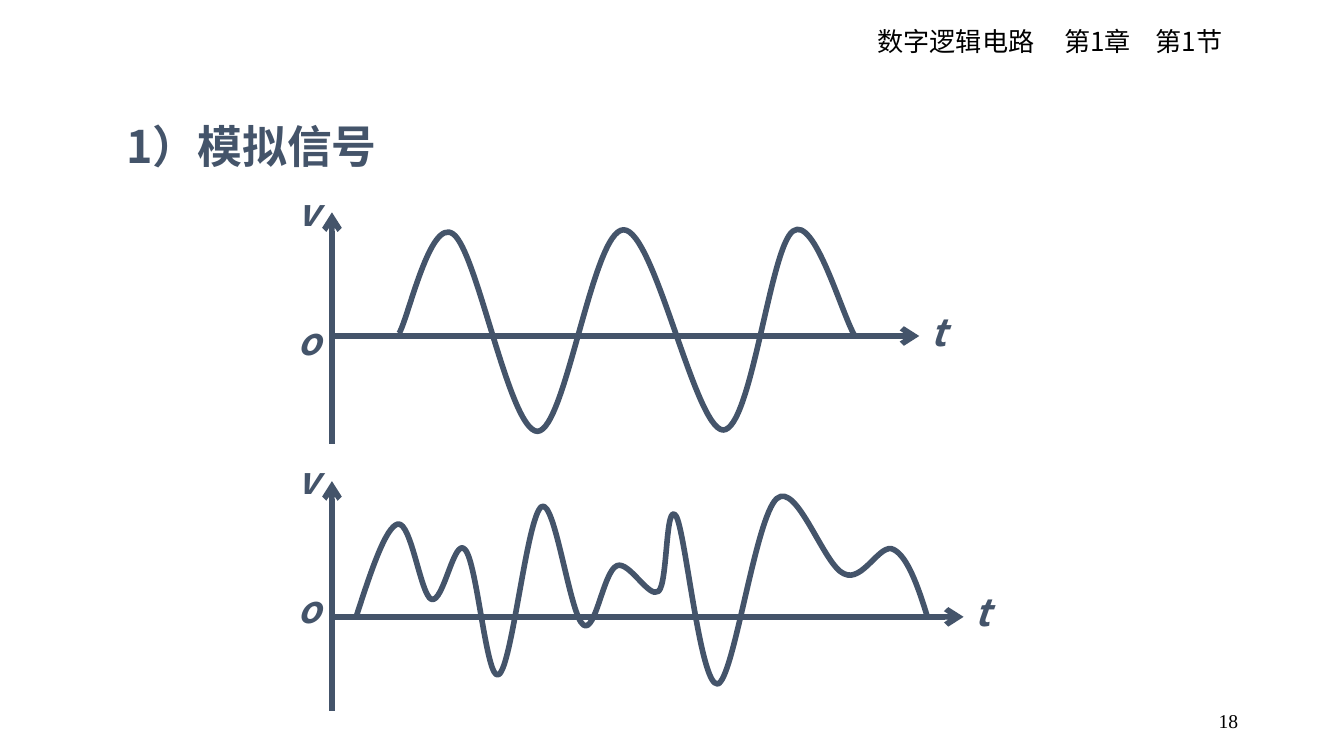
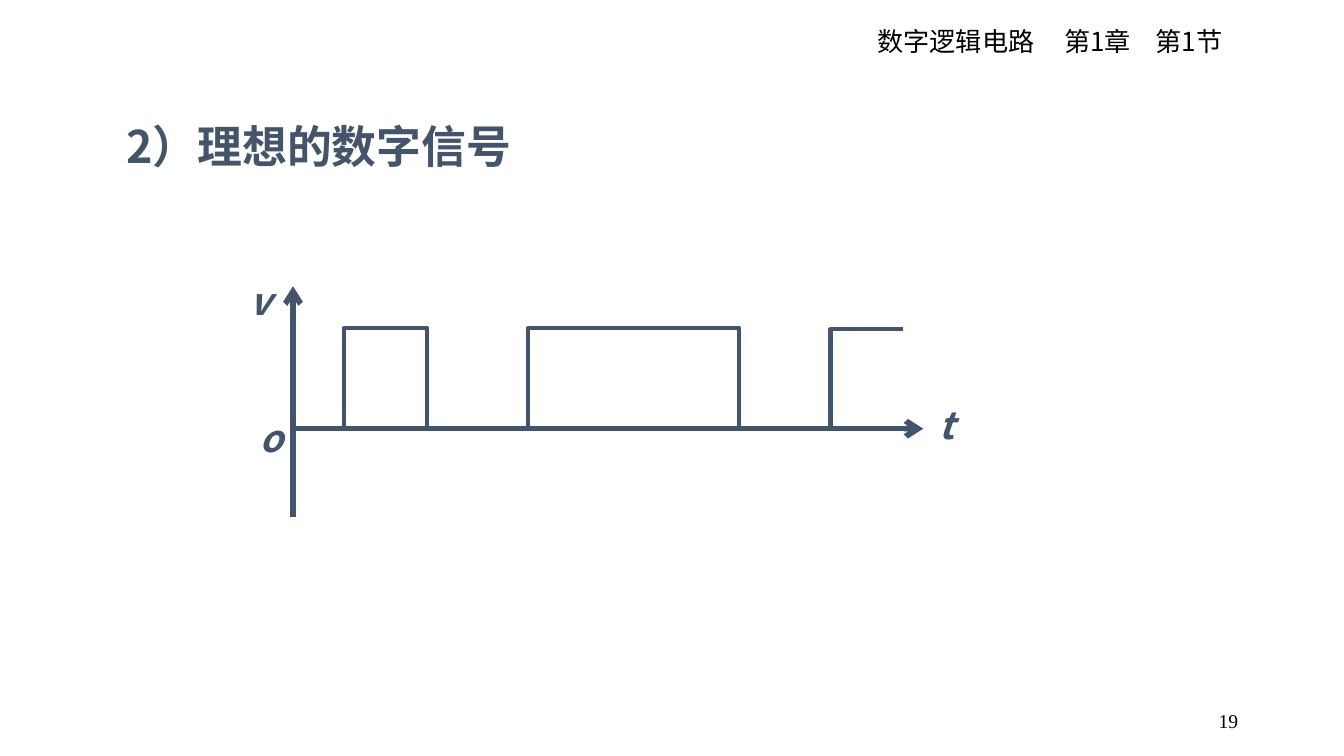
from pptx import Presentation
from pptx.dml.color import RGBColor
from pptx.enum.shapes import MSO_CONNECTOR as Connector
from pptx.enum.text import MSO_ANCHOR as Anchor, MSO_AUTO_SIZE as AutoSize, PP_ALIGN as Align
from pptx.oxml.ns import qn
from pptx.util import Inches, Pt
from lxml.etree import SubElement

SLATE = RGBColor(0x44, 0x54, 0x6A)
BLACK = RGBColor(0, 0, 0)
SANS = "Noto Sans CJK JP"
SERIF = "Times New Roman"

HEADER = "数字逻辑电路\t第1章\t第1节"
HEADER_TABS = (1.39, 2.07)
INSETS = (0.08, 0.04)
HANGING = 0.38
LABEL_SIZE = (0.39, 0.48)

# Curves list a start point, then two control points and an end point per segment.
SINE = [
    (2.97, 2.48),
    (3.04, 2.36), (3.2, 1.62), (3.37, 1.74),
    (3.55, 1.86), (3.79, 3.21), (4, 3.21),
    (4.21, 3.2), (4.41, 1.71), (4.64, 1.71),
    (4.87, 1.71), (5.17, 3.19), (5.38, 3.2),
    (5.59, 3.2), (5.73, 1.84), (5.9, 1.72),
    (6.06, 1.6), (6.26, 2.33), (6.36, 2.5),
]
IRREGULAR = [
    (2.65, 4.59),
    (2.76, 4.25), (2.87, 3.92), (2.96, 3.9),
    (3.06, 3.88), (3.13, 4.43), (3.21, 4.46),
    (3.3, 4.49), (3.38, 3.99), (3.46, 4.09),
    (3.55, 4.18), (3.62, 5.08), (3.71, 5.02),
    (3.81, 4.97), (3.92, 3.84), (4.03, 3.77),
    (4.13, 3.71), (4.24, 4.58), (4.34, 4.65),
    (4.43, 4.72), (4.49, 4.25), (4.59, 4.21),
    (4.68, 4.17), (4.83, 4.46), (4.9, 4.4),
    (4.97, 4.34), (4.95, 3.72), (5.03, 3.84),
    (5.1, 3.95), (5.21, 5.11), (5.34, 5.09),
    (5.46, 5.06), (5.62, 3.85), (5.78, 3.71),
    (5.93, 3.58), (6.13, 4.21), (6.28, 4.27),
    (6.42, 4.34), (6.55, 4.03), (6.65, 4.09),
    (6.75, 4.14), (6.83, 4.36), (6.9, 4.59),
]
PULSES = [
    (2.56, 3.19), (2.56, 2.44), (3.18, 2.44), (3.18, 3.19),
    (3.93, 3.19), (3.93, 2.44), (5.5, 2.44), (5.5, 3.19),
    (6.18, 3.19), (6.18, 2.45), (6.72, 2.45),
]

SLIDES = [
    {"title": "1）模拟信号", "number": "18", "plots": [
        {"origin": (2.47, 2.5), "top": 1.58, "bottom": 3.3, "right": 6.84,
         "labels": {"v": (2.13, 1.37), "o": (2.13, 2.33), "t": (6.84, 2.26)},
         "signal": SINE, "curved": True, "weight": 3},
        {"origin": (2.47, 4.59), "top": 3.58, "bottom": 5.29, "right": 7.17,
         "labels": {"v": (2.13, 3.36), "o": (2.13, 4.32), "t": (7.17, 4.34)},
         "signal": IRREGULAR, "curved": True, "weight": 3},
    ]},
    {"title": "2）理想的数字信号", "number": "19", "plots": [
        {"origin": (2.18, 3.19), "top": 2.13, "bottom": 3.85, "right": 6.87,
         "labels": {"v": (1.78, 2.03), "o": (1.85, 3.05), "t": (6.9, 2.95)},
         "signal": PULSES, "curved": False, "weight": 2.25},
    ]},
]


def add_text(slide, text, box, size, font=SANS, color=BLACK, bold=False, italic=False):
    shape = slide.shapes.add_textbox(*map(Inches, box))
    frame = shape.text_frame
    frame.word_wrap = True
    frame.text = text
    for run in frame.paragraphs[0].runs:
        run.font.name = font
        run.font.size = Pt(size)
        run.font.bold = bold
        run.font.italic = italic
        run.font.color.rgb = color
        SubElement(run.font._element, qn("a:ea"), typeface=font)
    return frame


def add_slate_text(slide, text, box, size, italic=False):
    """Add bold slate text with a hanging indent, as titles and axis labels have."""
    frame = add_text(slide, text, box, size, color=SLATE, bold=True, italic=italic)
    frame.margin_left = frame.margin_right = Inches(INSETS[0])
    frame.margin_top = frame.margin_bottom = Inches(INSETS[1])
    paragraph = frame.paragraphs[0]
    paragraph.space_before = Pt(0.2 * size)
    properties = paragraph._p.get_or_add_pPr()
    properties.set("marL", str(Inches(HANGING)))
    properties.set("indent", str(-Inches(HANGING)))


def add_header(slide):
    frame = add_text(slide, HEADER, (6.43, 0.14, 3.42, 0.34), 14)
    frame.auto_size = AutoSize.SHAPE_TO_FIT_TEXT
    paragraph = frame.paragraphs[0]
    paragraph.space_before = Pt(7)
    tabs = SubElement(paragraph._p.get_or_add_pPr(), qn("a:tabLst"))
    for position in HEADER_TABS:
        SubElement(tabs, qn("a:tab"), pos=str(Inches(position)), algn="l")


def add_page_number(slide, number):
    frame = add_text(slide, number, (7.06, 5.21, 2.25, 0.3), 10.5, font=SERIF)
    frame.vertical_anchor = Anchor.MIDDLE
    frame.paragraphs[0].alignment = Align.RIGHT


def add_axis(slide, start, end):
    """Draw an axis with its arrowhead at the end."""
    axis = slide.shapes.add_connector(Connector.STRAIGHT, *map(Inches, start + end))
    axis.line.color.rgb = SLATE
    axis.line.width = Pt(3)
    SubElement(axis.line._get_or_add_ln(), qn("a:tailEnd"), type="arrow")
    SubElement(axis._element.spPr, qn("a:effectLst"))


def bend(shape):
    """Turn every three straight segments into one cubic curve."""
    segments = list(shape._element.iter(qn("a:lnTo")))
    for first in range(0, len(segments), 3):
        curve = SubElement(segments[first].getparent(), qn("a:cubicBezTo"))
        for segment in segments[first:first + 3]:
            curve.append(segment[0])
            segment.getparent().remove(segment)


def add_signal(slide, points, curved, weight):
    start, *rest = [(Inches(x), Inches(y)) for x, y in points]
    builder = slide.shapes.build_freeform(*start)
    builder.add_line_segments(rest, close=False)
    shape = builder.convert_to_shape()
    if curved:
        bend(shape)
    shape.shadow.inherit = False
    shape.fill.background()
    shape.line.color.rgb = SLATE
    shape.line.width = Pt(weight)


def add_plot(slide, plot):
    x, y = plot["origin"]
    add_axis(slide, (x, y), (plot["right"], y))
    add_signal(slide, plot["signal"], plot["curved"], plot["weight"])
    add_axis(slide, (x, plot["bottom"]), (x, plot["top"]))
    for text, corner in plot["labels"].items():
        add_slate_text(slide, text, corner + LABEL_SIZE, 20, italic=True)


def main():
    presentation = Presentation()
    presentation.slide_width = Inches(10)
    presentation.slide_height = Inches(10) * 9 // 16
    for content in SLIDES:
        slide = presentation.slides.add_slide(presentation.slide_layouts[6])
        add_page_number(slide, content["number"])
        add_slate_text(slide, content["title"], (0.86, 0.84, 5.79, 2.75), 24)
        for plot in content["plots"]:
            add_plot(slide, plot)
        add_header(slide)
    presentation.save("out.pptx")


if __name__ == "__main__":
    main()
